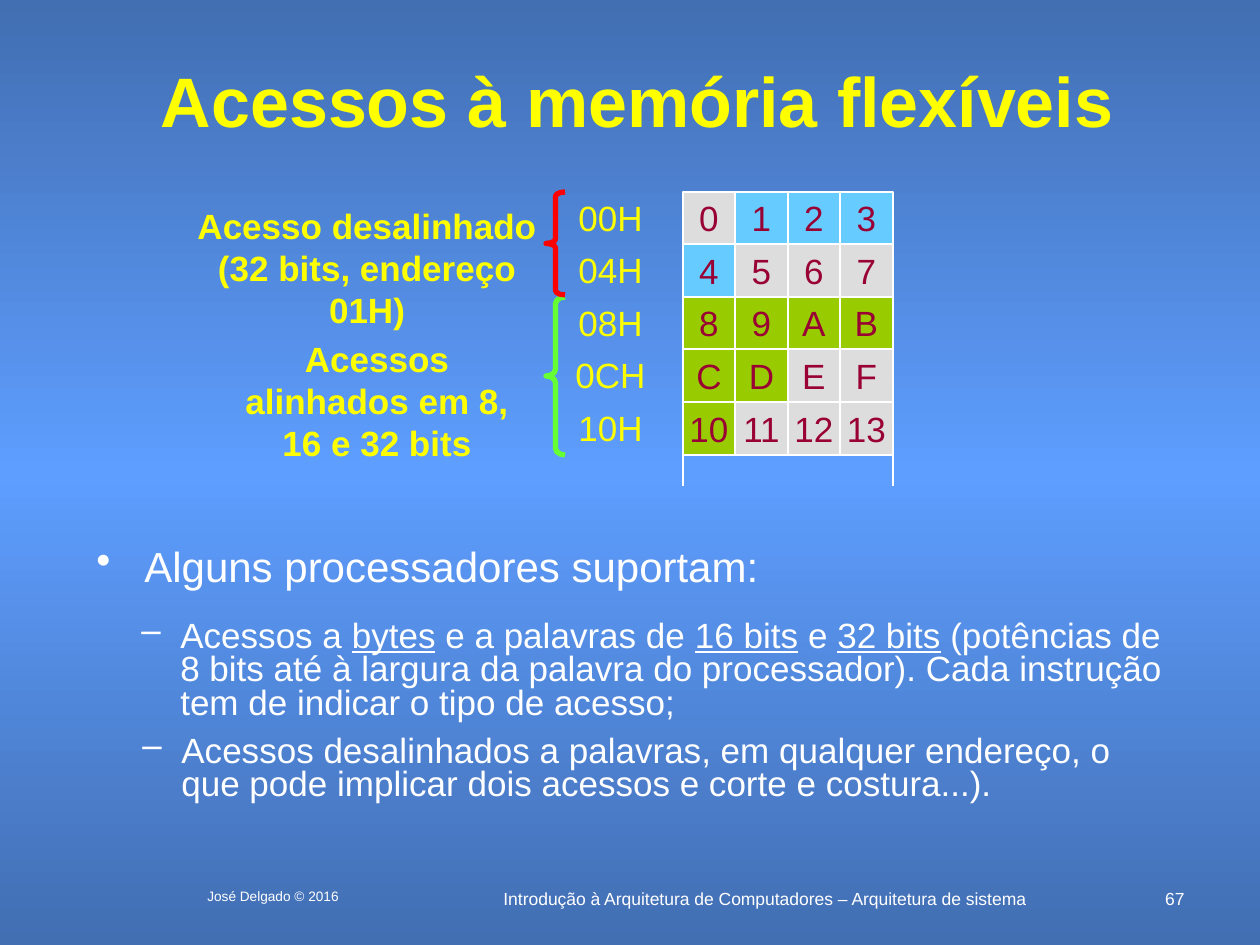
import copy
import dataclasses

import pptx
import pptx.dml.color
import pptx.enum.shapes
import pptx.enum.text
import pptx.oxml
import pptx.oxml.ns
import pptx.util

ALIGN = pptx.enum.text.PP_ALIGN
ANCHOR = pptx.enum.text.MSO_ANCHOR
SHAPE = pptx.enum.shapes.MSO_SHAPE
qn = pptx.oxml.ns.qn

GRID_X, GRID_Y, GRID_W, GRID_H = 683, 192, 210, 263
ROWS, COLS = 5, 4
UNALIGNED = {1, 2, 3, 4}
ALIGNED = {8, 9, 10, 11, 12, 13, 16}


@dataclasses.dataclass(frozen=True)
class Theme:
    """Colours, font and type sizes of the slide."""
    font: str = "Arial"
    edge: str = "426EB2"
    middle: str = "5E9EFF"
    white: str = "FFFFFF"
    yellow: str = "FFFF00"
    digit: str = "990033"
    plain: str = "DDDDDD"
    blue: str = "66CCFF"
    green: str = "99CC00"
    red_brace: str = "FF0000"
    green_brace: str = "66FF33"
    title: float = 40
    body: float = 24
    text: float = 20
    footer: float = 10
    credit: float = 7.8
    thin: float = 0.75
    thick: float = 3


T = Theme()


def px(n):
    """Turn pixels into EMU."""
    return pptx.util.Emu(round(n * 914400 / 126))


def rgb(value):
    """Return a colour from its hex string."""
    return pptx.dml.color.RGBColor.from_string(value)


def add_bullet(p, char, indent, hanging):
    """Give a paragraph a hanging bullet."""
    pPr = p._p.get_or_add_pPr()
    pPr.set("marL", str(px(indent)))
    pPr.set("indent", str(-px(hanging)))
    pPr.append(pptx.oxml.parse_xml(
        f'<a:buChar {pptx.oxml.ns.nsdecls("a")} char="{char}"/>'))


def write(sp, parts, size=T.text, color=T.white, bold=False, align=ALIGN.CENTER,
          anchor=ANCHOR.TOP, wrap=True, bullet=None, level=0, spacing=None):
    """Write one paragraph whose every second part is underlined."""
    tf = sp.text_frame
    tf.word_wrap = wrap
    tf.vertical_anchor = anchor
    p = tf.paragraphs[0]
    p.alignment = align
    p.level = level
    if spacing:
        p.line_spacing = spacing
    if bullet:
        add_bullet(p, *bullet)
    for i, part in enumerate([parts] if isinstance(parts, str) else parts):
        r = p.add_run()
        r.text = part
        r.font.name = T.font
        r.font.size = pptx.util.Pt(size)
        r.font.bold = bold
        r.font.color.rgb = rgb(color)
        if i % 2:
            r.font.underline = True


def add_text(s, box, parts, **fmt):
    """Add a text box."""
    write(s.shapes.add_textbox(*map(px, box)), parts, **fmt)


def add_item(s, box, parts, bullet, **fmt):
    """Add a bulleted text box."""
    add_text(s, box, parts, bullet=bullet, align=ALIGN.LEFT, spacing=0.8, **fmt)


def add_cell(s, box, label, fill):
    """Add one memory cell."""
    sp = s.shapes.add_shape(SHAPE.RECTANGLE, *map(px, box))
    sp.shadow.inherit = False
    sp.fill.solid()
    sp.fill.fore_color.rgb = rgb(fill)
    sp.line.color.rgb = rgb(T.white)
    sp.line.width = pptx.util.Pt(T.thin)
    write(sp, label, color=T.digit, anchor=ANCHOR.MIDDLE, wrap=False)


def add_brace(s, box, color, curve):
    """Add a left brace."""
    sp = s.shapes.add_shape(SHAPE.LEFT_BRACE, *map(px, box))
    sp.shadow.inherit = False
    sp.fill.background()
    sp.line.color.rgb = rgb(color)
    sp.line.width = pptx.util.Pt(T.thick)
    sp.adjustments[0] = curve


def add_side(s, x):
    """Add a vertical border that runs on below the memory."""
    c = s.shapes.add_connector(pptx.enum.shapes.MSO_CONNECTOR.STRAIGHT,
                               px(x), px(486), px(x), px(GRID_Y))
    c.line.color.rgb = rgb(T.white)
    c.line.width = pptx.util.Pt(T.thin)
    c._element.spPr.append(pptx.oxml.parse_xml(
        f'<a:effectLst {pptx.oxml.ns.nsdecls("a")}/>'))


def add_memory(s):
    """Add the memory grid with its row addresses."""
    for x in (GRID_X, GRID_X + GRID_W):
        add_side(s, x)
    xs = [GRID_X + GRID_W * i // COLS for i in range(COLS + 1)]
    ys = [GRID_Y + GRID_H * i // ROWS for i in range(ROWS + 1)]
    for row in range(ROWS):
        y, h = ys[row], ys[row + 1] - ys[row]
        add_text(s, (563, y - 2, 95, 55), f"{row * COLS:02X}H",
                 color=T.yellow, wrap=False)
        for col in range(COLS):
            n = row * COLS + col
            fill = T.blue if n in UNALIGNED else T.green if n in ALIGNED else T.plain
            add_cell(s, (xs[col], y, xs[col + 1] - xs[col], h), f"{n:X}", fill)


def set_background(s):
    """Fill the background with a vertical three-stop gradient."""
    fill = s.background.fill
    fill.gradient()
    fill.gradient_angle = 270
    stops = s.element.find(".//" + qn("a:gsLst"))
    stops.append(copy.deepcopy(stops[-1]))
    colors = (T.edge, T.middle, T.edge)
    for i, (stop, color) in enumerate(zip(fill.gradient_stops, colors)):
        stop.position = i / 2
        stop.color.rgb = rgb(color)


def main():
    """Build the slide."""
    prs = pptx.Presentation()
    prs.slide_width, prs.slide_height = px(1260), px(945)
    s = prs.slides.add_slide(prs.slide_layouts[6])
    set_background(s)

    add_text(s, (420, 882, 689, 32),
             "Introdução à Arquitetura de Computadores – Arquitetura de sistema",
             size=T.footer)
    add_text(s, (1144, 882, 53, 21), "67", size=T.footer, align=ALIGN.RIGHT)
    add_text(s, (168, 882, 210, 32), "José Delgado © 2016", size=T.credit)
    add_text(s, (86, 53, 1102, 94), "Acessos à memória flexíveis",
             size=T.title, color=T.yellow, bold=True, anchor=ANCHOR.MIDDLE)

    add_item(s, (84, 544, 1124, 71), "Alguns processadores suportam:",
             ("•", 48, 48), size=T.body)
    dash = ("–", 102, 39)
    add_item(s, (66, 615, 1124, 118),
             ["Acessos a ", "bytes", " e a palavras de ", "16 bits", " e ", "32 bits",
              " (potências de 8 bits até à largura da palavra do processador)."
              " Cada instrução tem de indicar o tipo de acesso;"], dash, level=1)
    add_item(s, (67, 730, 1124, 91),
             "Acessos desalinhados a palavras, em qualquer endereço, o que pode "
             "implicar dois acessos e corte e costura...).", dash, level=1)

    add_memory(s)
    add_brace(s, (546, 297, 19, 158), T.green_brace, 0.35)
    add_text(s, (209, 331, 336, 139), "Acessos alinhados em 8, 16 e 32 bits",
             color=T.yellow, bold=True)
    add_brace(s, (546, 192, 19, 103), T.red_brace, 0.23)
    add_text(s, (174, 198, 386, 139), "Acesso desalinhado (32 bits, endereço 01H)",
             color=T.yellow, bold=True)
    prs.save("out.pptx")


if __name__ == "__main__":
    main()
